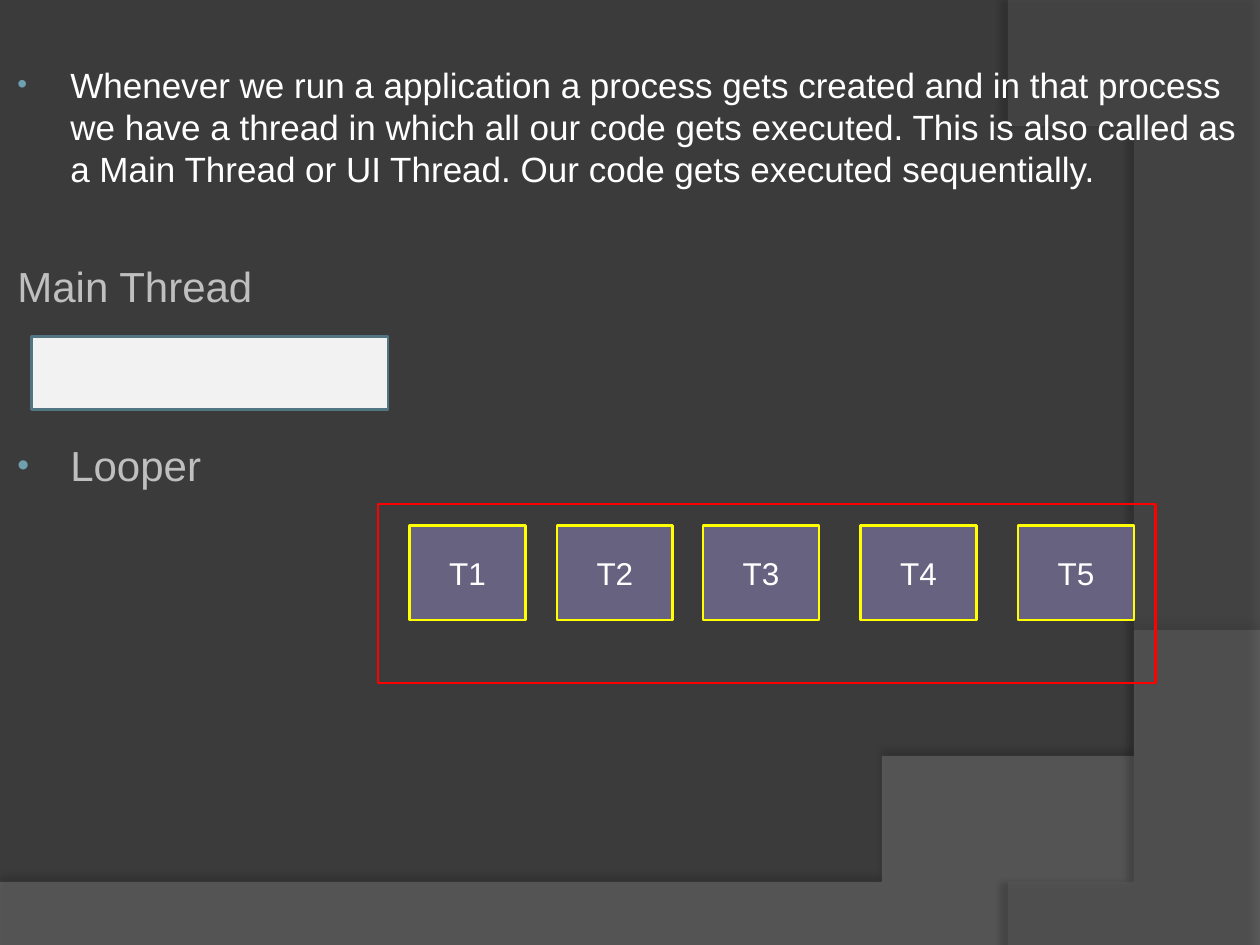
from lxml.etree import SubElement
from pptx import Presentation
from pptx.dml.color import RGBColor
from pptx.enum.shapes import MSO_SHAPE
from pptx.enum.text import MSO_ANCHOR, PP_ALIGN
from pptx.oxml.ns import qn
from pptx.util import Inches, Pt

color = RGBColor.from_string


def write(para, text, size=18, ink="FFFFFF", align=PP_ALIGN.LEFT, before=0, line=None, hanging=False, bullet=False):
    para.alignment = align
    para.space_before = Pt(before)
    if line:
        para.line_spacing = Pt(line)
    if hanging:
        properties = para._p.get_or_add_pPr()
        properties.set("marL", str(Inches(0.46)))
        properties.set("indent", str(Inches(-0.42)))
        if bullet:
            bullet_color = SubElement(properties, qn("a:buClr"))
            SubElement(bullet_color, qn("a:srgbClr"), val="6EA0B0")
            SubElement(properties, qn("a:buSzPct"), val="80000")
            SubElement(properties, qn("a:buFont"), typeface="Arial")
            SubElement(properties, qn("a:buChar"), char="•")
        else:
            SubElement(properties, qn("a:buNone"))
    span = para.add_run()
    span.text = text
    span.font.name = "Arial"
    span.font.size = Pt(size)
    span.font.color.rgb = color(ink)


deck = Presentation()
deck.slide_width = Inches(10)
deck.slide_height = Inches(7.5)
page = deck.slides.add_slide(deck.slide_layouts[6])
page.background.fill.solid()
page.background.fill.fore_color.rgb = color("3B3B3B")

sweeps = [
    ([(0, 7.05), (0, 7.5), (10, 7.5)], [(10, 5.2), (5.59, 7.29), (3.91, 7.19), (0, 7.05)],
     "7F7F7F", 45, 35, 3.5, 270),
    ([(10, 0.02), (10, 7.5)], [(8.21, 7.5), (9.35, 6.19), (10.18, 3), (8, 0)],
     "5E5E5E", 40, 45, 4, 180),
]
steps = 48
for corners, curve, fill, opacity, shadow_opacity, distance, direction in sweeps:
    points = list(corners)
    for step in range(steps + 1):
        t = step / steps
        weights = ((1 - t) ** 3, 3 * t * (1 - t) ** 2, 3 * t ** 2 * (1 - t), t ** 3)
        points.append(tuple(sum(w * p[axis] for w, p in zip(weights, curve)) for axis in (0, 1)))
    builder = page.shapes.build_freeform(*points[0], scale=Inches(1))
    builder.add_line_segments(points[1:], close=True)
    sweep = builder.convert_to_shape()
    sweep.fill.solid()
    sweep.fill.fore_color.rgb = color(fill)
    sweep.line.fill.background()
    fill_color = sweep._element.spPr.find(qn("a:solidFill")).find(qn("a:srgbClr"))
    SubElement(fill_color, qn("a:alpha"), val=str(opacity * 1000))
    sweep.shadow.inherit = False
    effects = sweep._element.spPr.find(qn("a:effectLst"))
    shadow = SubElement(effects, qn("a:outerShdw"), blurRad=str(Pt(4)), dist=str(Pt(distance)),
                        dir=str(direction * 60000), algn="ctr", rotWithShape="0")
    shadow_color = SubElement(shadow, qn("a:srgbClr"), val="000000")
    SubElement(shadow_color, qn("a:alpha"), val=str(shadow_opacity * 1000))

body = page.shapes.add_textbox(Inches(0), Inches(0), Inches(10), Inches(7.25)).text_frame
body.word_wrap = True
body.margin_top = Inches(0.5)
write(body.paragraphs[0],
      "Whenever we run a application a process gets created and in that process we have a thread "
      "in which all our code gets executed. This is also called as a Main Thread or UI Thread. "
      "Our code gets executed sequentially.",
      size=20, line=24, hanging=True, bullet=True)
write(body.add_paragraph(), "Main Thread", size=24, ink="BFBFBF", before=41, hanging=True)
write(body.add_paragraph(), "Looper", size=24, ink="BFBFBF", before=73.5, hanging=True, bullet=True)

rectangles = [(3, 4, 6.17, 1.42, None, "FF0000", "")]
for number, left in enumerate((3.25, 4.42, 5.58, 6.83, 8.08), 1):
    rectangles.append((left, 4.17, 0.92, 0.75, "67627F", "FFFF00", f"T{number}"))
rectangles.append((0.25, 2.67, 2.83, 0.58, "F2F2F2", "517682", ""))

for left, top, width, height, fill, outline, label in rectangles:
    box = page.shapes.add_shape(MSO_SHAPE.RECTANGLE, Inches(left), Inches(top), Inches(width), Inches(height))
    box.shadow.inherit = False
    if fill:
        box.fill.solid()
        box.fill.fore_color.rgb = color(fill)
    else:
        box.fill.background()
    box.line.color.rgb = color(outline)
    box.line.width = Pt(1.5)
    if label:
        box.text_frame.vertical_anchor = MSO_ANCHOR.MIDDLE
        write(box.text_frame.paragraphs[0], label, align=PP_ALIGN.CENTER)

deck.save("out.pptx")
